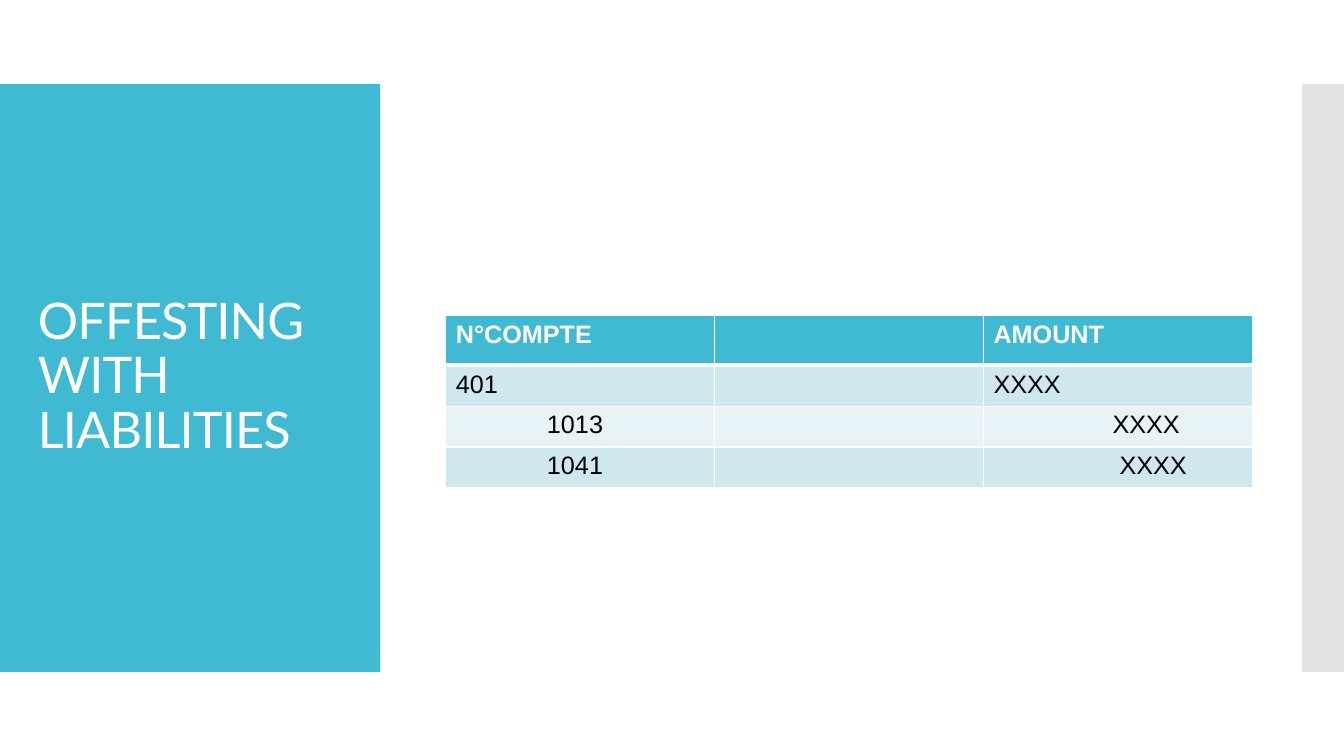
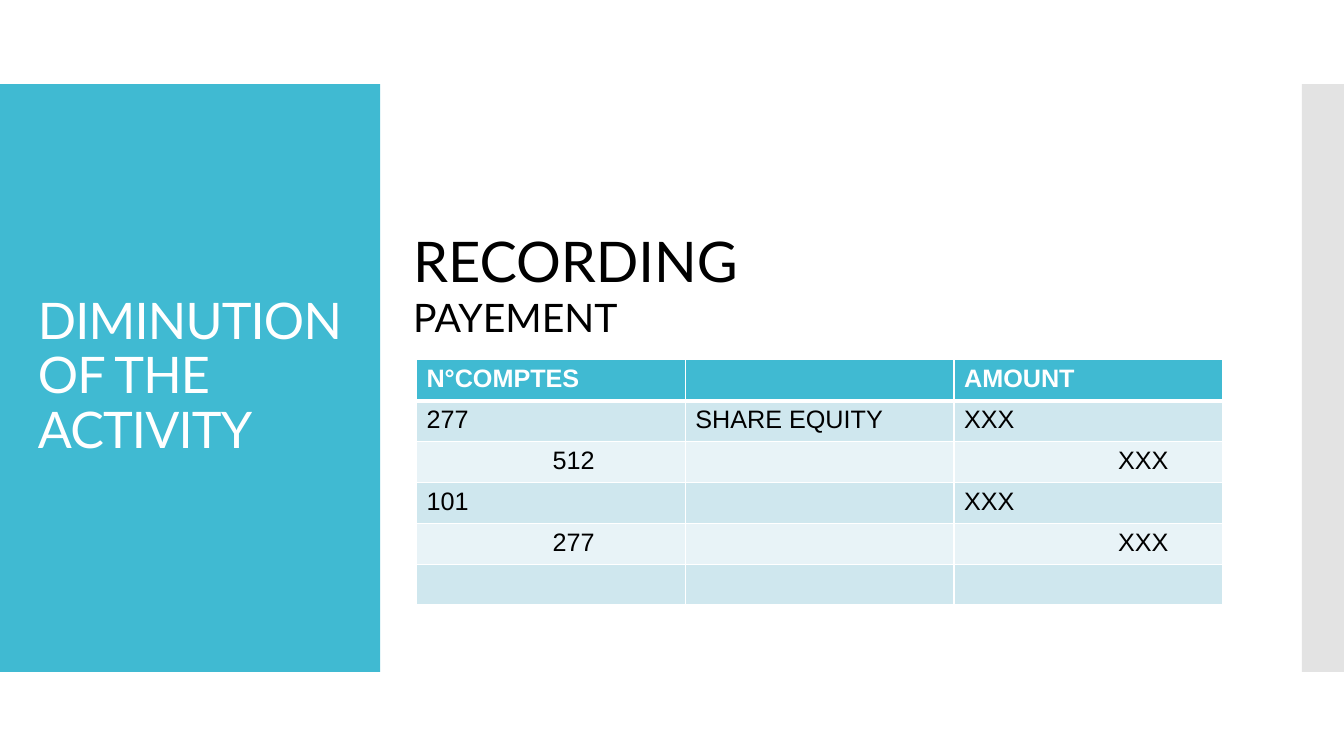
from dataclasses import dataclass

from lxml.etree import SubElement
from pptx import Presentation
from pptx.dml.color import RGBColor
from pptx.enum.shapes import MSO_SHAPE
from pptx.enum.text import MSO_ANCHOR
from pptx.oxml.ns import qn
from pptx.util import Pt


@dataclass(frozen=True)
class Theme:
    teal: str = "40BAD2"
    grey: str = "C8C8C8"
    dark: str = "CFE7EE"
    light: str = "E8F3F7"
    white: str = "FFFFFF"
    black: str = "000000"
    head: str = "Lato"
    body: str = "Arial"
    title: int = 36
    large: int = 40
    small: int = 28
    cell: int = 18


class Deck:
    def __init__(self, theme):
        self.theme = theme
        self.file = Presentation()
        self.file.slide_width = Pt(960)
        self.file.slide_height = Pt(540)
        self.slide = None

    def page(self, title):
        """Start a slide with its two bands and its title."""
        t = self.theme
        self.slide = self.file.slides.add_slide(self.file.slide_layouts[6])
        self.band(0, 271.5, t.teal)
        self.band(930, 30, t.grey, 50)
        frame = self.text(20, 88.5, 232, 362, [(title, t.title)], t.white)
        frame.vertical_anchor = MSO_ANCHOR.MIDDLE
        par = frame.paragraphs[0]
        par.line_spacing = 0.9
        par.runs[0].font._element.set("spc", "-60")

    def band(self, left, width, color, alpha=100):
        box = self.slide.shapes.add_shape(
            MSO_SHAPE.RECTANGLE, Pt(left), Pt(60), Pt(width), Pt(420))
        box.shadow.inherit = False
        box.line.fill.background()
        box.fill.solid()
        box.fill.fore_color.rgb = RGBColor.from_string(color)
        if alpha < 100:
            tint = box._element.spPr.find(qn("a:solidFill"))[0]
            SubElement(tint, qn("a:alpha"), val=str(alpha * 1000))

    def text(self, left, top, width, height, lines, color):
        """Add a text box; lines holds pairs of text and type size."""
        box = self.slide.shapes.add_textbox(
            Pt(left), Pt(top), Pt(width), Pt(height))
        frame = box.text_frame
        frame.word_wrap = True
        frame.text = "\n".join(words for words, size in lines)
        for par, (words, size) in zip(frame.paragraphs, lines):
            self.style(par, self.theme.head, size, color)
        return frame

    def style(self, par, face, size, color, bold=False):
        for run in par.runs:
            font = run.font
            font.name, font.size, font.bold = face, Pt(size), bold
            font.color.rgb = RGBColor.from_string(color)

    def table(self, left, top, rows, first=29.2):
        """Add a table; a cell is a text or a pair of text and indent."""
        width, height = 192, 29.2
        count = len(rows[0])
        shape = self.slide.shapes.add_table(
            len(rows), count, Pt(left), Pt(top), Pt(width * count),
            Pt(first + height * (len(rows) - 1)))
        grid = shape.table
        for col in grid.columns:
            col.width = Pt(width)
        for i, row in enumerate(rows):
            grid.rows[i].height = Pt(height if i else first)
            for j, item in enumerate(row):
                words, indent = item if isinstance(item, tuple) else (item, 0)
                self.cell(grid.cell(i, j), i, words, indent)

    def cell(self, cell, row, words, indent):
        t = self.theme
        # Borders: the rule below the header is thicker
        props = cell._tc.get_or_add_tcPr()
        sides = {"L": 1, "R": 1, "T": 3 if row == 1 else 1,
                 "B": 1 if row else 3}
        for side, size in sides.items():
            line = SubElement(props, qn("a:ln" + side), w=str(Pt(size)))
            fill = SubElement(line, qn("a:solidFill"))
            SubElement(fill, qn("a:srgbClr"), val=t.white)
        # Fill: header, then two tints in turn
        back = (t.dark if row % 2 else t.light) if row else t.teal
        cell.fill.solid()
        cell.fill.fore_color.rgb = RGBColor.from_string(back)
        # Text
        cell.margin_left = Pt(7.2 + indent)
        cell.text_frame.text = words
        self.style(cell.text_frame.paragraphs[0], t.body, t.cell,
                   t.black if row else t.white, not row)


def main():
    theme = Theme()
    deck = Deck(theme)

    # Slide 1
    deck.page("OFFESTING WITH LIABILITIES")
    deck.table(318.5, 225.5, [
        ["N°COMPTE", "", "AMOUNT"],
        ["401", "", "XXXX"],
        [("1013", 65), "", ("XXXX", 85)],
        [("1041", 65), "", ("XXXX", 90)],
    ], first=35.4)

    # Slide 2
    deck.page("DIMINUTION OF THE ACTIVITY")
    debit, credit = "XXX", ("XXX", 110)
    deck.table(297.5, 257, [
        ["N°COMPTES", "", "AMOUNT"],
        ["277", "SHARE EQUITY", debit],
        [("512", 90), "", credit],
        ["101", "", debit],
        [("277", 90), "", credit],
        ["", "", ""],
    ])
    deck.text(288, 158, 576, 90, [
        ("RECORDING", theme.large), ("PAYEMENT", theme.small)], theme.black)

    deck.file.save("out.pptx")


if __name__ == "__main__":
    main()
